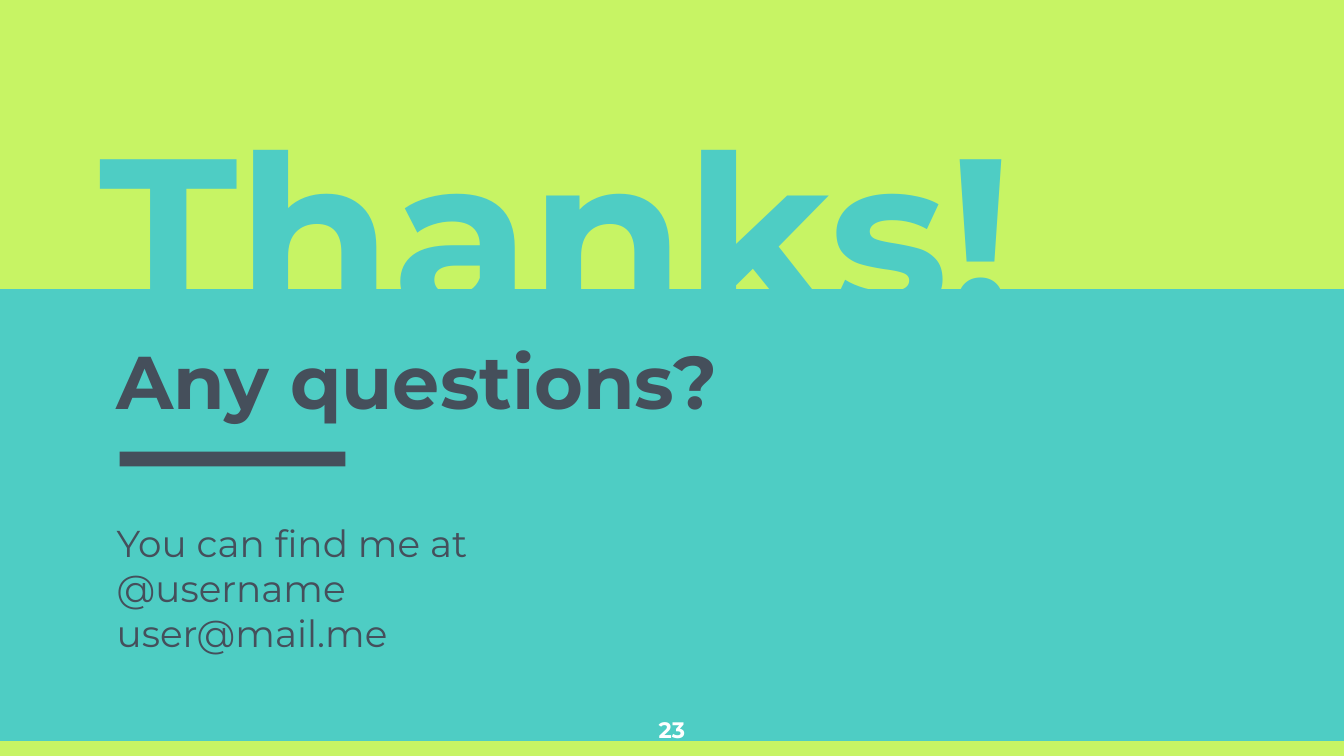
from pptx import Presentation
from pptx.dml.color import RGBColor
from pptx.enum.shapes import MSO_SHAPE
from pptx.enum.text import MSO_ANCHOR, MSO_AUTO_SIZE, PP_ALIGN
from pptx.util import Inches, Pt

WIDTH = 10
HEIGHT = WIDTH * 9 / 16
BAND_HEIGHT = 2.15
FOOTER_HEIGHT = 0.11
MARGIN = 0.77
INSET = 0.1
COLORS = {"teal": "4ECDC4", "lime": "C7F464", "slate": "454F5B", "white": "FFFFFF"}


def color(name):
    return RGBColor.from_string(COLORS[name])


def place(shape, box):
    shape.left, shape.top, shape.width, shape.height = map(Inches, box)


def add_bar(slide, box, fill):
    bar = slide.shapes.add_shape(MSO_SHAPE.RECTANGLE, *map(Inches, box))
    bar.shadow.inherit = False
    bar.fill.solid()
    bar.fill.fore_color.rgb = color(fill)
    bar.line.fill.background()


def write(shape, text, size, ink="slate", bold=False, align=PP_ALIGN.LEFT,
          anchor=MSO_ANCHOR.TOP, before=0):
    frame = shape.text_frame
    frame.word_wrap = True
    frame.auto_size = MSO_AUTO_SIZE.NONE
    frame.vertical_anchor = anchor
    frame.margin_left = frame.margin_right = Inches(INSET)
    frame.margin_top = frame.margin_bottom = Inches(INSET)
    frame.text = text
    for paragraph in frame.paragraphs:
        paragraph.alignment = align
        paragraph.space_before = Pt(before)
        for run in paragraph.runs:
            run.font.name = "Montserrat"
            run.font.size = Pt(size)
            run.font.bold = bold
            run.font.color.rgb = color(ink)


def add_text(slide, box, text, **style):
    textbox = slide.shapes.add_textbox(*map(Inches, box))
    write(textbox, text, **style)


def headline_band(slide, left, top, width, height):
    """Draw the lime band with the title sinking into the teal below it."""
    add_bar(slide, (left, top, width, height), "lime")
    title = slide.shapes.title
    place(title, (left + 0.64, top + height - 0.63, 7.38, 1.27))
    write(title, "Thanks!", size=120, ink="teal", bold=True, anchor=MSO_ANCHOR.BOTTOM)
    # The title must lie in front of the band
    slide.shapes._spTree.append(title._element)


def contact_panel(slide, left, top, width):
    add_text(slide, (left, top + 0.24, 5.5, 0.69), "Any questions?",
             size=40, bold=True, before=6)
    add_text(slide, (left, top + 1.62, width, 1.55),
             "You can find me at\n@username\nuser@mail.me", size=20)
    add_bar(slide, (left + 0.12, top + 1.21, 1.68, 0.11), "slate")


def footer(slide, left, top, width, height):
    add_bar(slide, (left, top, width, height), "lime")
    number_width = 0.6
    add_text(slide, (left + (width - number_width) / 2, top - 0.29, number_width, 0.34),
             "23", size=12, ink="white", bold=True, align=PP_ALIGN.CENTER)


def main():
    deck = Presentation()
    deck.slide_width, deck.slide_height = Inches(WIDTH), Inches(HEIGHT)
    slide = deck.slides.add_slide(deck.slide_layouts[5])
    slide.background.fill.solid()
    slide.background.fill.fore_color.rgb = color("teal")

    headline_band(slide, 0, 0, WIDTH, BAND_HEIGHT)
    contact_panel(slide, MARGIN, BAND_HEIGHT, 7.29)
    footer(slide, 0, HEIGHT - FOOTER_HEIGHT, WIDTH, FOOTER_HEIGHT)
    deck.save("out.pptx")


if __name__ == "__main__":
    main()
